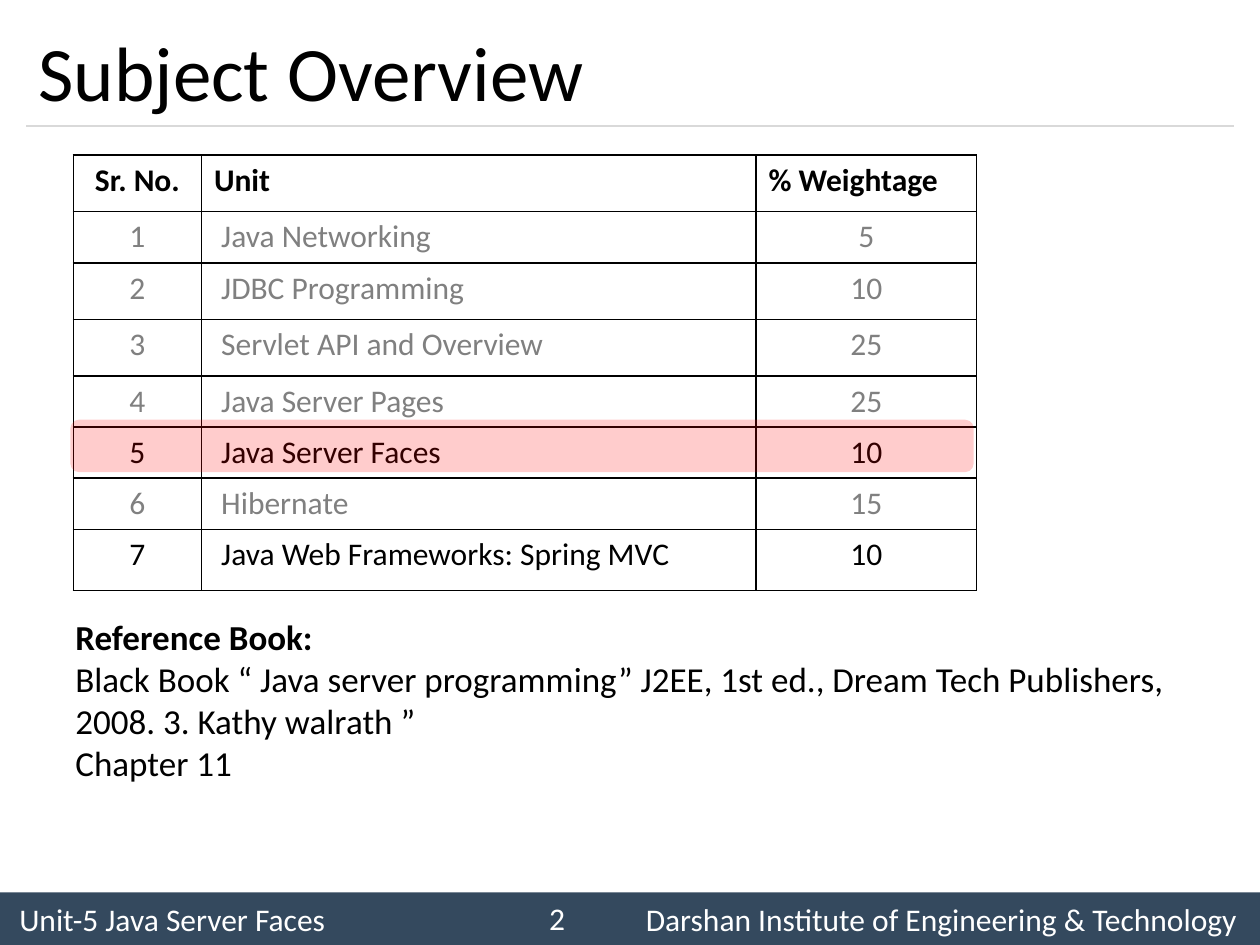
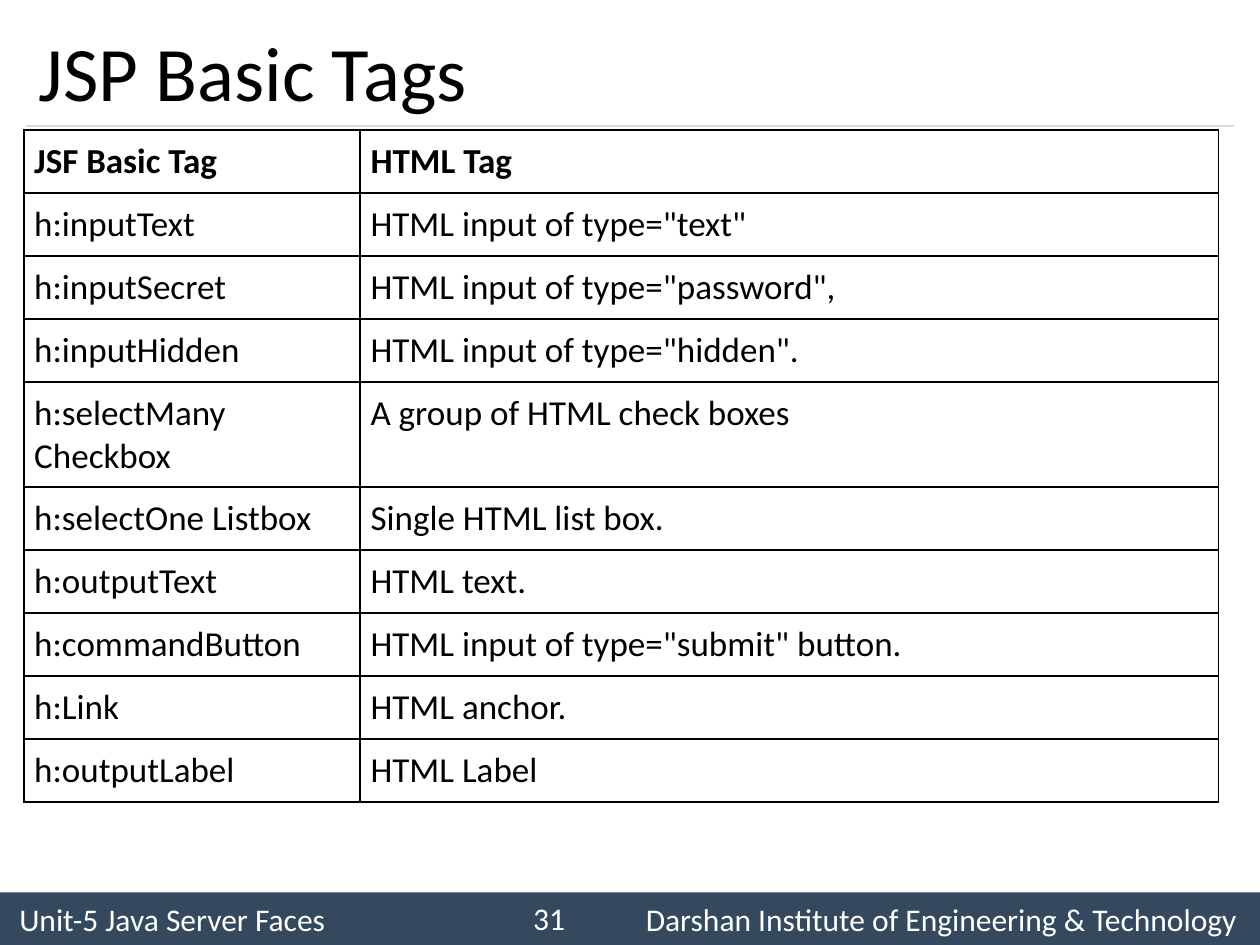
from lxml.etree import SubElement
from pptx import Presentation
from pptx.dml.color import RGBColor
from pptx.enum.shapes import MSO_CONNECTOR, MSO_SHAPE
from pptx.enum.text import MSO_ANCHOR, PP_ALIGN
from pptx.oxml.ns import qn
from pptx.util import Cm, Pt

BLACK = RGBColor(0x00, 0x00, 0x00)
WHITE = RGBColor(0xFF, 0xFF, 0xFF)
GREY = RGBColor(0x80, 0x80, 0x80)
RULE_GREY = RGBColor(0xD9, 0xD9, 0xD9)
NAVY = RGBColor(0x34, 0x49, 0x5E)
RED = RGBColor(0xFF, 0x00, 0x00)
FONT = "Calibri"
SLIDE_WIDTH, SLIDE_HEIGHT = 25.4, 19.05
FOOTER_HEIGHT = 1.06
FOOTER_INSET = 0.39
FOOTER_TEXT = "Unit-5 Java Server Faces\tDarshan Institute of Engineering & Technology"

UNITS = [
    ("Sr. No.", "Unit", "% Weightage"),
    ("1", "Java Networking", "5"),
    ("2", "JDBC Programming", "10"),
    ("3", "Servlet API and Overview", "25"),
    ("4", "Java Server Pages", "25"),
    ("5", "Java Server Faces", "10"),
    ("6", "Hibernate", "15"),
    ("7", "Java Web Frameworks: Spring MVC", "10"),
]
UNIT_COLUMN_WIDTHS = [2.58, 11.18, 4.45]
UNIT_ROW_HEIGHTS = [1.14, 1.04, 1.14, 1.14, 1.03, 1.03, 1.04, 1.23]
ACTIVE_UNITS = (5, 7)

TAGS = [
    ("JSF Basic Tag", "HTML Tag"),
    ("h:inputText", 'HTML input of type="text"'),
    ("h:inputSecret", 'HTML input of type="password",'),
    ("h:inputHidden", 'HTML input of type="hidden".'),
    ("h:selectMany Checkbox", "A group of HTML check boxes"),
    ("h:selectOne Listbox", "Single HTML list box."),
    ("h:outputText", "HTML text."),
    ("h:commandButton", 'HTML input of type="submit" button.'),
    ("h:Link", "HTML anchor."),
    ("h:outputLabel", "HTML Label"),
]
TAG_COLUMN_WIDTHS = [6.78, 17.3]
TAG_ROW_HEIGHTS = [1.27] * 4 + [2.12] + [1.27] * 5

REFERENCE = [
    "Reference Book:",
    "Black Book “ Java server programming” J2EE, 1st ed., Dream Tech Publishers, "
    "2008. 3. Kathy walrath ”",
    "Chapter 11",
]


def format_paragraph(paragraph, size, color=BLACK, bold=False, align=PP_ALIGN.LEFT):
    """Apply alignment and font to every run of a paragraph."""
    paragraph.alignment = align
    for run in paragraph.runs:
        run.font.name = FONT
        run.font.size = Pt(size)
        run.font.bold = bold
        run.font.color.rgb = color


def add_text(slide, box, text, size, anchor=MSO_ANCHOR.TOP, **style):
    """Add a wrapping text box and return its text frame."""
    text_frame = slide.shapes.add_textbox(*map(Cm, box)).text_frame
    text_frame.word_wrap = True
    text_frame.vertical_anchor = anchor
    text_frame.text = text
    for paragraph in text_frame.paragraphs:
        format_paragraph(paragraph, size, **style)
    return text_frame


def add_panel(slide, kind, box, color):
    """Add a flat filled shape without outline."""
    shape = slide.shapes.add_shape(kind, *map(Cm, box))
    shape.shadow.inherit = False
    shape.fill.solid()
    shape.fill.fore_color.rgb = color
    shape.line.fill.background()
    return shape


def add_footer(slide, box, number):
    """Add the band with unit, page number and institute."""
    left, top, width, height = box
    band = add_panel(slide, MSO_SHAPE.RECTANGLE, box, NAVY)
    text_frame = band.text_frame
    text_frame.margin_left = Cm(FOOTER_INSET)
    text_frame.margin_right = Cm(0)
    text_frame.vertical_anchor = MSO_ANCHOR.MIDDLE
    text_frame.text = FOOTER_TEXT
    paragraph = text_frame.paragraphs[0]
    tabs = SubElement(paragraph._p.get_or_add_pPr(), qn("a:tabLst"))
    SubElement(tabs, qn("a:tab"), pos=str(Cm(width - 0.46 - FOOTER_INSET)), algn="r")
    format_paragraph(paragraph, 18, WHITE)
    add_text(slide, (left + 9.95, top, 1.69, 1.02), number, 18, MSO_ANCHOR.MIDDLE,
             color=WHITE, align=PP_ALIGN.RIGHT)


def add_title(slide, box, title):
    """Add the slide title with a thin rule under it."""
    left, top, width, height = box
    bottom = top + height
    rule = slide.shapes.add_connector(
        MSO_CONNECTOR.STRAIGHT, Cm(left), Cm(bottom), Cm(left + width), Cm(bottom))
    rule.line.color.rgb = RULE_GREY
    rule.line.width = Pt(0.75)
    SubElement(rule._element.spPr, qn("a:effectLst"))
    add_text(slide, box, title, 44, MSO_ANCHOR.MIDDLE)


def set_borders(cell):
    """Draw a thin black line on all four sides of a cell."""
    properties = cell._tc.get_or_add_tcPr()
    for position, side in enumerate(("lnL", "lnR", "lnT", "lnB")):
        line = properties.makeelement(qn(f"a:{side}"), {"w": str(Pt(1))})
        fill = SubElement(line, qn("a:solidFill"))
        SubElement(fill, qn("a:srgbClr"), val=str(BLACK))
        properties.insert(position, line)


def add_grid(slide, left, top, column_widths, row_heights, rows, size, has_header):
    """Add a plain bordered table, with a bold first row if it is a header."""
    frame = slide.shapes.add_table(
        len(rows), len(column_widths), Cm(left), Cm(top),
        Cm(sum(column_widths)), Cm(sum(row_heights)))
    table = frame.table
    table.first_row = has_header
    table.horz_banding = False
    for column, width in zip(table.columns, column_widths):
        column.width = Cm(width)
    for row_index, (row, height, texts) in enumerate(zip(table.rows, row_heights, rows)):
        row.height = Cm(height)
        for cell, text in zip(row.cells, texts):
            cell.fill.background()
            set_borders(cell)
            cell.text = text
            format_paragraph(cell.text_frame.paragraphs[0], size,
                             bold=has_header and row_index == 0)
    return table


def add_unit_table(slide, left, top):
    """Add the list of units and highlight the current one."""
    table = add_grid(slide, left, top, UNIT_COLUMN_WIDTHS, UNIT_ROW_HEIGHTS, UNITS, 18, True)
    table.cell(0, 0).text_frame.paragraphs[0].alignment = PP_ALIGN.CENTER
    for row_index in range(1, len(UNITS)):
        color = BLACK if row_index in ACTIVE_UNITS else GREY
        for column_index in range(len(UNIT_COLUMN_WIDTHS)):
            cell = table.cell(row_index, column_index)
            is_name = column_index == 1
            if is_name:
                cell.margin_left = Cm(0.4)
            format_paragraph(cell.text_frame.paragraphs[0], 18, color,
                             align=PP_ALIGN.LEFT if is_name else PP_ALIGN.CENTER)
    highlight = add_panel(slide, MSO_SHAPE.ROUNDED_RECTANGLE,
                          (left - 0.06, top + 5.34, sum(UNIT_COLUMN_WIDTHS), 1.06), RED)
    color_element = highlight._element.spPr.find(f".//{qn('a:srgbClr')}")
    SubElement(color_element, qn("a:alpha"), val="20000")


def add_tag_tables(slide, left, top):
    """Stack one single-row table per tag under the header table."""
    for index, (tag, height) in enumerate(zip(TAGS, TAG_ROW_HEIGHTS)):
        table = add_grid(slide, left, top, TAG_COLUMN_WIDTHS, [height], [tag], 20, index == 0)
        for cell in table.iter_cells():
            cell.margin_left = cell.margin_right = Cm(0.21)
            cell.margin_top = cell.margin_bottom = Cm(0.21)
        top += height


def add_reference(slide, box):
    """Add the reference book under a bold heading."""
    text_frame = add_text(slide, box, "\n".join(REFERENCE), 20)
    format_paragraph(text_frame.paragraphs[0], 20, bold=True)


def add_base_slide(presentation, title, number):
    """Add a blank slide with the shared footer and title."""
    slide = presentation.slides.add_slide(presentation.slide_layouts[6])
    add_footer(slide, (0, SLIDE_HEIGHT - FOOTER_HEIGHT, SLIDE_WIDTH, FOOTER_HEIGHT), number)
    add_title(slide, (0.53, 0.3, 24.34, 2.24), title)
    return slide


def main():
    """Build both slides and save the presentation."""
    presentation = Presentation()
    presentation.slide_width = Cm(SLIDE_WIDTH)
    presentation.slide_height = Cm(SLIDE_HEIGHT)

    overview = add_base_slide(presentation, "Subject Overview", "2")
    add_unit_table(overview, 1.48, 3.12)
    add_reference(overview, (1.27, 12.28, 23.06, 3.68))

    tags = add_base_slide(presentation, "JSP Basic Tags", "31")
    add_tag_tables(tags, 0.48, 2.62)

    presentation.save("out.pptx")


if __name__ == "__main__":
    main()
